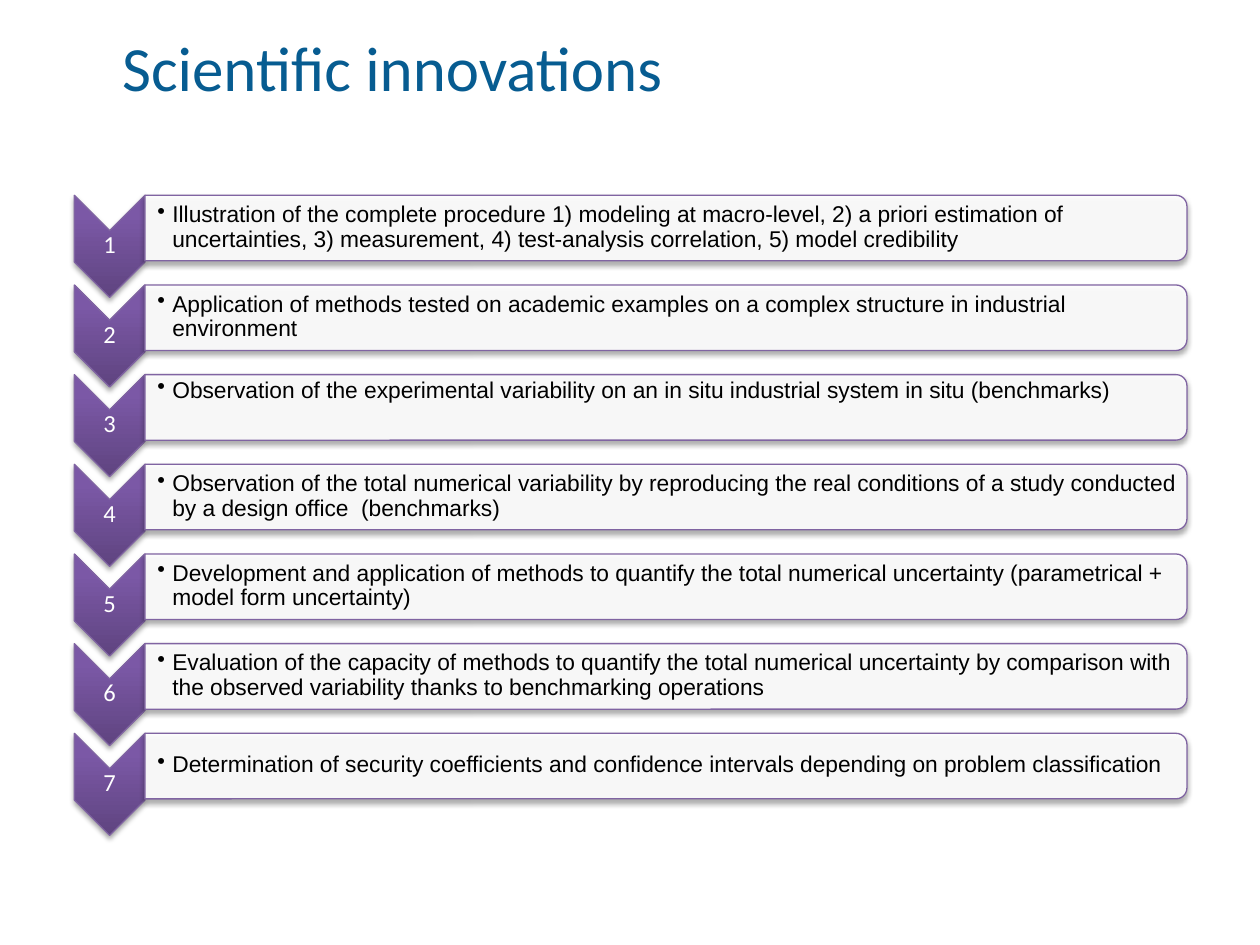
import pptx
import pptx.util
from lxml import etree
from pptx.dml.color import RGBColor
from pptx.enum.shapes import MSO_SHAPE
from pptx.enum.text import MSO_ANCHOR, PP_ALIGN
from pptx.oxml.ns import qn
from pptx.util import Inches

COLORS = {
    "title": "075C91",
    "outline": "8064A2",
    "bar": "FFFFFF",
    "number": "FFFFFF",
    "text": "000000",
    "shadow": "000000",
}
CHEVRON_STOPS = [(0, "5F4480"), (80, "7B58A6"), (100, "7C57A8")]
FORMATS = {
    "title": {"name": "Calibri", "size": pptx.util.Pt(36), "bold": False},
    "number": {"name": "Calibri", "size": pptx.util.Pt(14)},
    "text": {"name": "Arial", "size": pptx.util.Pt(13)},
}
INNOVATIONS = [
    "Illustration of the complete procedure 1) modeling at macro-level, 2) a priori estimation of "
    "uncertainties, 3) measurement, 4) test-analysis correlation, 5) model credibility",
    "Application of methods tested on academic examples on a complex structure in industrial environment",
    "Observation of the experimental variability on an in situ industrial system in situ (benchmarks)",
    "Observation of the total numerical variability by reproducing the real conditions of a study "
    "conducted by a design office  (benchmarks)",
    "Development and application of methods to quantify the total numerical uncertainty "
    "(parametrical + model form uncertainty)",
    "Evaluation of the capacity of methods to quantify the total numerical uncertainty by comparison "
    "with the observed variability thanks to benchmarking operations",
    "Determination of security coefficients and confidence intervals depending on problem classification",
]
TOP_ALIGNED_ROWS = {3}


def add_element(parent, tag, **attributes):
    values = {key: str(value) for key, value in attributes.items()}
    return etree.SubElement(parent, qn(tag), values)


def write_text(box, text, style, anchor, margins):
    """Fill the box with one formatted paragraph; margins are left, top, right, bottom."""
    frame = box.text_frame
    settings = {"word_wrap": True, "vertical_anchor": anchor}
    sides = ("margin_left", "margin_top", "margin_right", "margin_bottom")
    settings.update(zip(sides, map(Inches, margins)))
    for name, value in settings.items():
        setattr(frame, name, value)
    para = frame.paragraphs[0]
    span = para.add_run()
    span.text = text
    for name, value in FORMATS[style].items():
        setattr(span.font, name, value)
    span.font.color.rgb = RGBColor.from_string(COLORS[style])
    return para


def add_turned_shape(page, kind, left, top, width, height):
    """Add an outlined, shadowed shape turned by 90 degrees that covers the given area."""
    shape = page.shapes.add_shape(
        kind,
        Inches(left + (width - height) / 2), Inches(top + (height - width) / 2),
        Inches(height), Inches(width),
    )
    shape.rotation = 90
    shape.line.color.rgb = RGBColor.from_string(COLORS["outline"])
    shape.line.width = pptx.util.Pt(0.75)
    shape.shadow.inherit = False
    effects = shape._element.spPr.find(qn("a:effectLst"))
    shadow = add_element(effects, "a:outerShdw", blurRad=pptx.util.Pt(3.1), dist=pptx.util.Pt(1.8),
                         dir=5400000, rotWithShape=0)
    color = add_element(shadow, "a:srgbClr", val=COLORS["shadow"])
    add_element(color, "a:alpha", val=35000)
    return shape


def add_chevron(page, number, left, top, width, height):
    chevron = add_turned_shape(page, MSO_SHAPE.CHEVRON, left, top, width, height)
    chevron.fill.gradient()
    chevron.fill.gradient_angle = 90
    gradient = chevron._element.spPr.find(qn("a:gradFill"))
    gradient.set("rotWithShape", "0")
    stops = gradient.find(qn("a:gsLst"))
    for stop in list(stops):
        stops.remove(stop)
    for position, color in CHEVRON_STOPS:
        stop = add_element(stops, "a:gs", pos=position * 1000)
        add_element(stop, "a:srgbClr", val=color)

    label = page.shapes.add_textbox(Inches(left), Inches(top + 0.28), Inches(width), Inches(0.24))
    para = write_text(label, str(number), "number", MSO_ANCHOR.MIDDLE, [0.01] * 4)
    para.alignment = PP_ALIGN.CENTER
    para.line_spacing = 0.9


def add_bar(page, text, anchor, left, top, width, height):
    bar = add_turned_shape(page, MSO_SHAPE.ROUND_2_SAME_RECTANGLE, left, top, width, height)
    bar.fill.solid()
    bar.fill.fore_color.rgb = RGBColor.from_string(COLORS["bar"])
    color = bar._element.spPr.find(qn("a:solidFill")).find(qn("a:srgbClr"))
    add_element(color, "a:alpha", val=90000)

    label = page.shapes.add_textbox(Inches(left), Inches(top + 0.02),
                                    Inches(width - 0.03), Inches(height - 0.05))
    para = write_text(label, text, "text", anchor, [0.1, 0.01, 0.01, 0.01])
    para.level = 1
    para.line_spacing = 0.9
    properties = para._p.get_or_add_pPr()
    properties.set("marL", str(Inches(0.12)))
    properties.set("indent", str(Inches(-0.12)))
    add_element(properties, "a:buChar", char="•")


def add_title(page, left, top, width, height):
    title = page.shapes.title
    for name, value in zip(("left", "top", "width", "height"), (left, top, width, height)):
        setattr(title, name, Inches(value))
    para = write_text(title, "Scientific innovations", "title", MSO_ANCHOR.TOP, [0.35, 0, 0, 0])
    para.alignment = PP_ALIGN.LEFT


def add_innovation_list(page, left, top, width, height):
    chevron_width, chevron_height, bar_height = 0.56, 0.81, 0.52
    pitch = (height - chevron_height) / (len(INNOVATIONS) - 1)
    for number, text in enumerate(INNOVATIONS, start=1):
        row_top = top + (number - 1) * pitch
        anchor = MSO_ANCHOR.TOP if number in TOP_ALIGNED_ROWS else MSO_ANCHOR.MIDDLE
        add_chevron(page, number, left, row_top, chevron_width, chevron_height)
        add_bar(page, text, anchor, left + chevron_width, row_top,
                width - chevron_width, bar_height)


def main():
    deck = pptx.Presentation()
    deck.slide_width, deck.slide_height = Inches(10), Inches(7.5)
    page = deck.slides.add_slide(deck.slide_layouts[5])
    add_title(page, 0.62, 0.23, 8.83, 1.08)
    add_innovation_list(page, 0.59, 1.55, 8.83, 5.08)
    deck.save("out.pptx")


if __name__ == "__main__":
    main()
